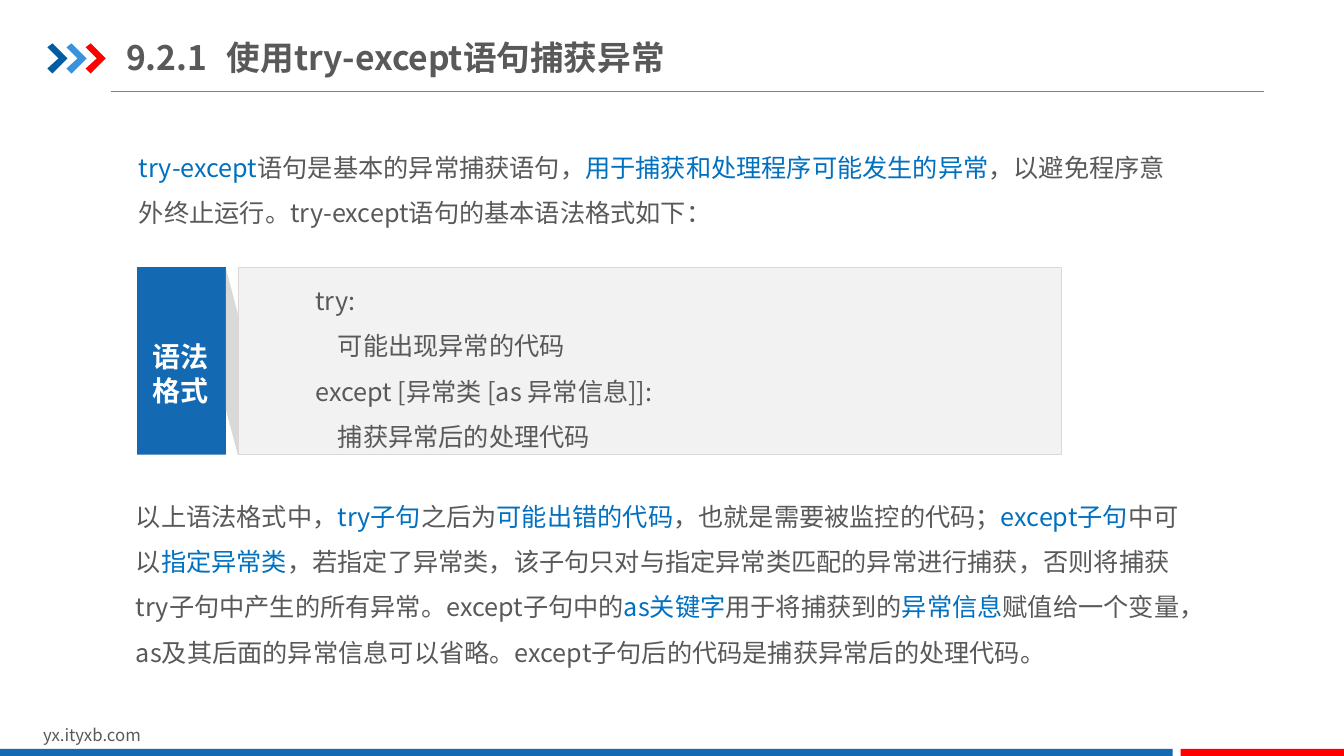
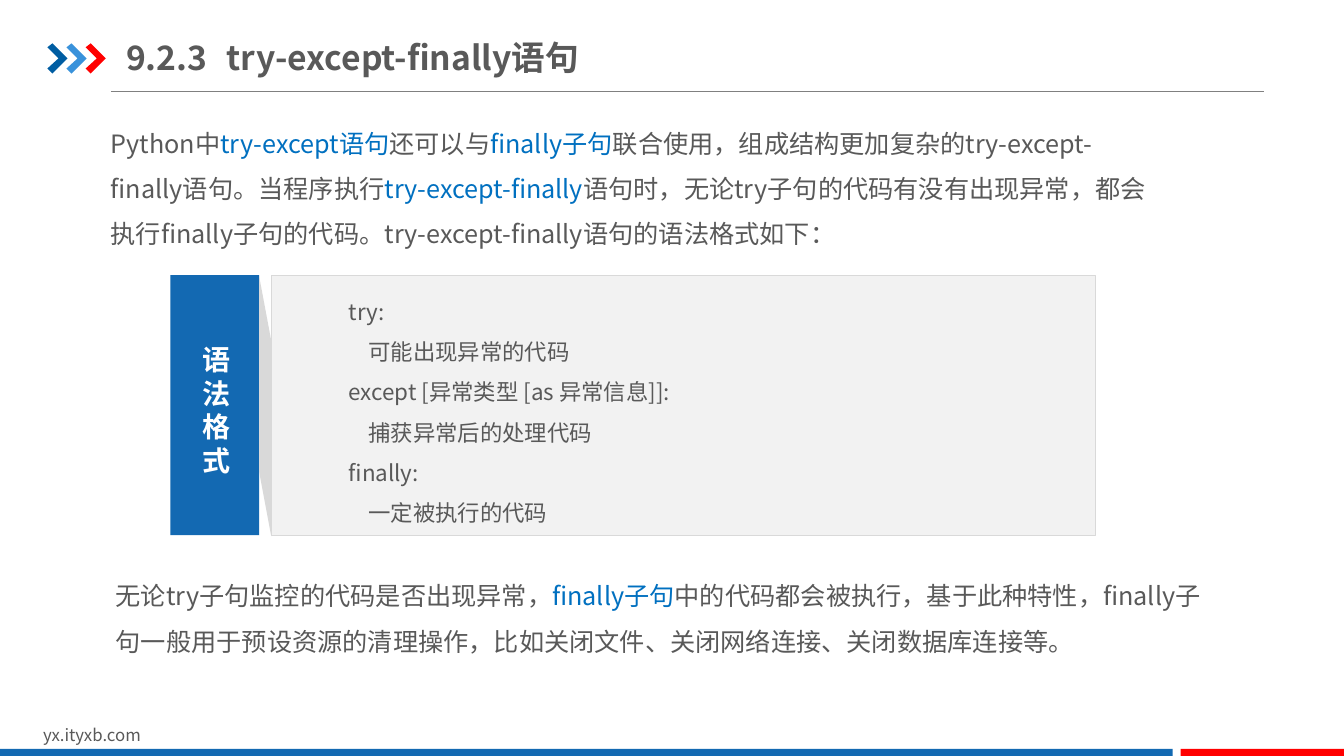
from dataclasses import dataclass

import pptx
import pptx.dml.color
import pptx.enum.lang
import pptx.enum.shapes
import pptx.enum.text
import pptx.oxml
import pptx.oxml.ns
import pptx.util

# Scale and shared style
PX = 9144  # EMU per px, 100 px to the inch
FONT = "Noto Sans CJK SC"
GREY, ACCENT, WHITE = "595959", "0070C0", "FFFFFF"
BLUE, RED, RULE = "1369B2", "FF0000", "808080"
PANEL, PANEL_EDGE = "F2F2F2", "D9D9D9"
CHEVRON_COLOURS = ["005DA2", "3992DB", RED]
CHEVRON = [(0, 4), (5, 0), (20, 15), (5, 30), (0, 25), (11, 15)]
TAB_WIDTH, FOLD_WIDTH, PANEL_WIDTH = 88, 12, 817
RECTANGLE = pptx.enum.shapes.MSO_SHAPE.RECTANGLE
CENTRE = pptx.enum.text.PP_ALIGN.CENTER
MIDDLE = pptx.enum.text.MSO_ANCHOR.MIDDLE


@dataclass(frozen=True)
class Box:
    left: int
    top: int
    width: int
    height: int

    def emu(self) -> list[int]:
        return [v * PX for v in (self.left, self.top, self.width, self.height)]


@dataclass(frozen=True)
class Passage:
    """Body text; the parts between bars are highlighted."""
    box: Box
    text: str


@dataclass(frozen=True)
class Syntax:
    left: int
    top: int
    height: int
    label: list[str]
    label_box: Box
    code: list[str]
    code_size: int


@dataclass(frozen=True)
class Lesson:
    title: str
    intro: Passage
    syntax: Syntax
    explanation: Passage


def rgb(colour: str) -> pptx.dml.color.RGBColor:
    return pptx.dml.color.RGBColor.from_string(colour)


# Text
def style_run(run, size: int, colour: str, bold: bool = False) -> None:
    run.font.size = pptx.util.Pt(size)
    run.font.bold = bold
    run.font.color.rgb = rgb(colour)
    run.font.name = FONT
    run.font.language_id = pptx.enum.lang.MSO_LANGUAGE_ID.SIMPLIFIED_CHINESE
    latin = run.font._element.find(pptx.oxml.ns.qn("a:latin"))
    latin.addnext(pptx.oxml.parse_xml(
        f'<a:ea {pptx.oxml.ns.nsdecls("a")} typeface="{FONT}"/>'))


def write_lines(frame, lines: list[str], size: int, colour: str,
                bold: bool = False) -> None:
    frame.text = "\n".join(lines)
    for paragraph in frame.paragraphs:
        for run in paragraph.runs:
            style_run(run, size, colour, bold)


def add_text(slide, box: Box, wrap: bool = True):
    frame = slide.shapes.add_textbox(*box.emu()).text_frame
    frame.word_wrap = wrap
    return frame


def add_passage(slide, passage: Passage) -> None:
    paragraph = add_text(slide, passage.box).paragraphs[0]
    paragraph.line_spacing = 1.5
    for index, part in enumerate(passage.text.split("|")):
        if part:
            run = paragraph.add_run()
            run.text = part
            style_run(run, 18, ACCENT if index % 2 else GREY)


# Shapes
def paint(shape, fill: str, edge: str | None = None) -> None:
    shape.shadow.inherit = False
    shape.fill.solid()
    shape.fill.fore_color.rgb = rgb(fill)
    if edge:
        shape.line.color.rgb = rgb(edge)
        shape.line.width = pptx.util.Pt(0.25)
    else:
        shape.line.fill.background()


def add_rectangle(slide, box: Box, fill: str, edge: str | None = None):
    shape = slide.shapes.add_shape(RECTANGLE, *box.emu())
    paint(shape, fill, edge)
    return shape


def add_outline(slide, left: int, top: int, points: list[tuple[int, int]],
                fill: str) -> None:
    corners = [(left + x, top + y) for x, y in points]
    builder = slide.shapes.build_freeform(*corners[0], scale=PX)
    builder.add_line_segments(corners[1:], close=True)
    paint(builder.convert_to_shape(), fill)


# Parts shared by all slides
def add_frame(slide, title: str) -> None:
    rule = slide.shapes.add_connector(
        pptx.enum.shapes.MSO_CONNECTOR.STRAIGHT,
        110 * PX, 91 * PX, 1254 * PX, 91 * PX)
    rule.line.color.rgb = rgb(RULE)
    rule.line.width = pptx.util.Pt(0.75)
    rule._element.spPr.append(pptx.oxml.parse_xml(
        f'<a:effectLst {pptx.oxml.ns.nsdecls("a")}/>'))

    for index, colour in enumerate(CHEVRON_COLOURS):
        add_outline(slide, 47 + 19 * index, 43, CHEVRON, colour)

    write_lines(add_text(slide, Box(33, 714, 318, 30)),
                ["yx.ityxb.com"], 12, GREY)
    add_rectangle(slide, Box(0, 743, 1163, 9), BLUE)
    add_rectangle(slide, Box(1171, 743, 163, 9), RED)

    heading = add_text(slide, Box(125, 29, 581, 55))
    heading.margin_left = heading.margin_right = 0
    heading.vertical_anchor = MIDDLE
    heading.text = title
    # The tab stop sets the gap between the section number and its name
    heading.paragraphs[0]._p.get_or_add_pPr().append(pptx.oxml.parse_xml(
        f'<a:tabLst {pptx.oxml.ns.nsdecls("a")}>'
        f'<a:tab pos="{100 * PX}" algn="l"/></a:tabLst>'))
    for run in heading.paragraphs[0].runs:
        style_run(run, 24, GREY, True)


# Syntax block: label tab, fold and code panel
def add_syntax(slide, syntax: Syntax) -> None:
    left, top, height = syntax.left, syntax.top, syntax.height
    fold_left = left + TAB_WIDTH
    panel = add_rectangle(
        slide, Box(fold_left + FOLD_WIDTH, top, PANEL_WIDTH, height),
        PANEL, PANEL_EDGE)
    code = panel.text_frame
    code.word_wrap = True
    code.vertical_anchor = MIDDLE
    write_lines(code, syntax.code, syntax.code_size, GREY)
    for paragraph in code.paragraphs:
        paragraph.alignment = pptx.enum.text.PP_ALIGN.LEFT
        paragraph.level = 1
        paragraph.line_spacing = 1.5
        properties = paragraph._p.get_or_add_pPr()
        properties.set("marL", str(67 * PX))
        properties.set("indent", "0")

    add_rectangle(slide, Box(left, top, TAB_WIDTH, height), BLUE)
    label = add_text(slide, syntax.label_box, wrap=False)
    write_lines(label, syntax.label, 20, WHITE, True)
    for paragraph in label.paragraphs:
        paragraph.alignment = CENTRE

    skew = height // 4
    add_outline(slide, fold_left, top + 1,
                [(0, 0), (FOLD_WIDTH, skew), (FOLD_WIDTH, height),
                 (0, height - skew)], PANEL_EDGE)


# Content
LESSONS = [
    Lesson(
        "9.2.1\t使用try-except语句捕获异常",
        Passage(
            Box(128, 131, 1061, 96),
            "|try-except|语句是基本的异常捕获语句，"
            "|用于捕获和处理程序可能发生的异常|，以避免程序意外终止运行。"
            "try-except语句的基本语法格式如下："),
        Syntax(
            136, 265, 186, ["语法", "格式"], Box(141, 332, 76, 76),
            ["try:",
             "    可能出现异常的代码",
             "except [异常类 [as 异常信息]]:",
             "    捕获异常后的处理代码"], 18),
        Passage(
            Box(125, 477, 1061, 187),
            "以上语法格式中，|try子句|之后为|可能出错的代码|，"
            "也就是需要被监控的代码；|except子句|中可以|指定异常类|，"
            "若指定了异常类，该子句只对与指定异常类匹配的异常进行捕获，"
            "否则将捕获try子句中产生的所有异常。except子句中的|as关键字|"
            "用于将捕获到的|异常信息|赋值给一个变量，"
            "as及其后面的异常信息可以省略。"
            "except子句后的代码是捕获异常后的处理代码。")),
    Lesson(
        "9.2.3\ttry-except-finally语句",
        Passage(
            Box(100, 107, 1055, 155),
            "Python中|try-except语句|还可以与|finally子句|联合使用，"
            "组成结构更加复杂的try-except-finally语句。当程序执行"
            "|try-except-finally|语句时，无论try子句的代码有没有出现异常，"
            "都会执行finally子句的代码。"
            "try-except-finally语句的语法格式如下："),
        Syntax(
            169, 273, 258, ["语", "法", "格", "式"], Box(191, 335, 48, 142),
            ["try:",
             "    可能出现异常的代码",
             "except [异常类型 [as 异常信息]]:",
             "    捕获异常后的处理代码",
             "finally:",
             "    一定被执行的代码"], 16),
        Passage(
            Box(105, 556, 1105, 102),
            "无论try子句监控的代码是否出现异常，|finally子句|"
            "中的代码都会被执行，基于此种特性，"
            "finally子句一般用于预设资源的清理操作，"
            "比如关闭文件、关闭网络连接、关闭数据库连接等。")),
]


def main() -> None:
    deck = pptx.Presentation()
    deck.slide_width, deck.slide_height = 1333 * PX, 750 * PX
    for lesson in LESSONS:
        slide = deck.slides.add_slide(deck.slide_layouts[6])
        add_frame(slide, lesson.title)
        add_passage(slide, lesson.intro)
        add_syntax(slide, lesson.syntax)
        add_passage(slide, lesson.explanation)
    deck.save("out.pptx")


if __name__ == "__main__":
    main()
